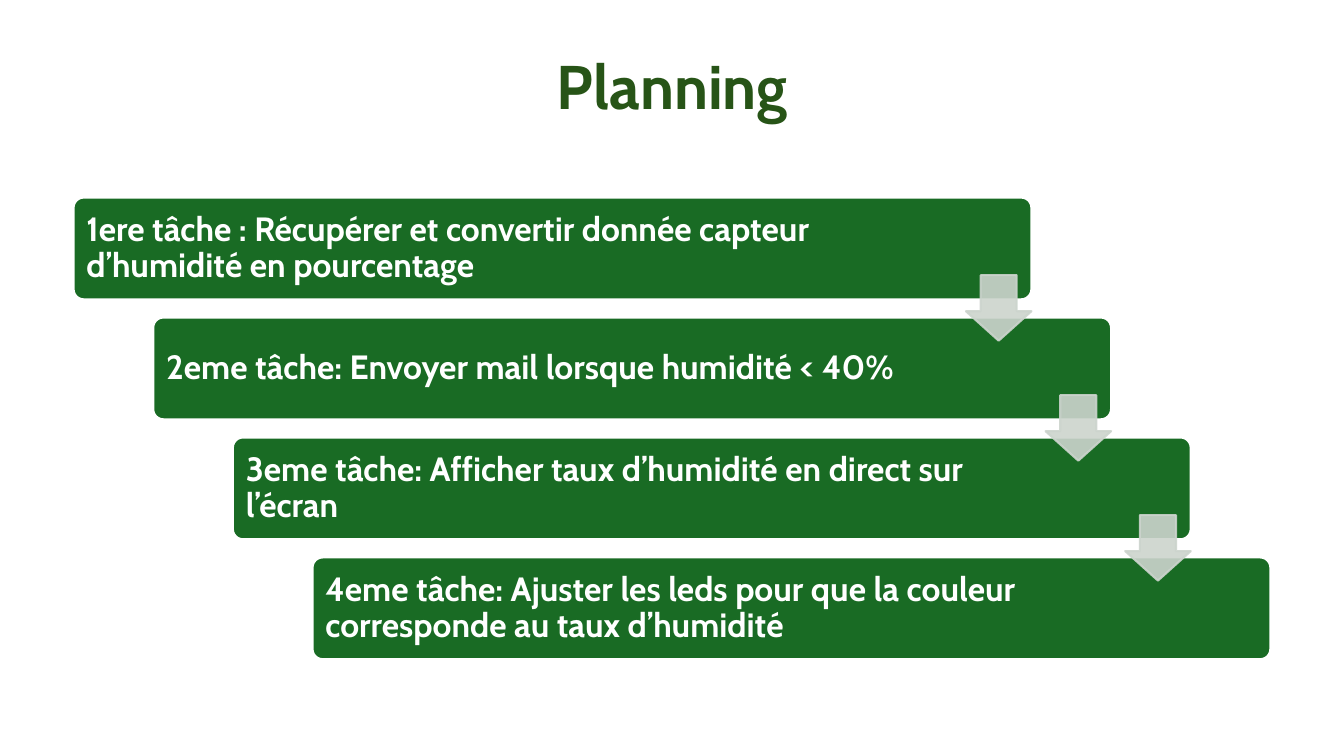
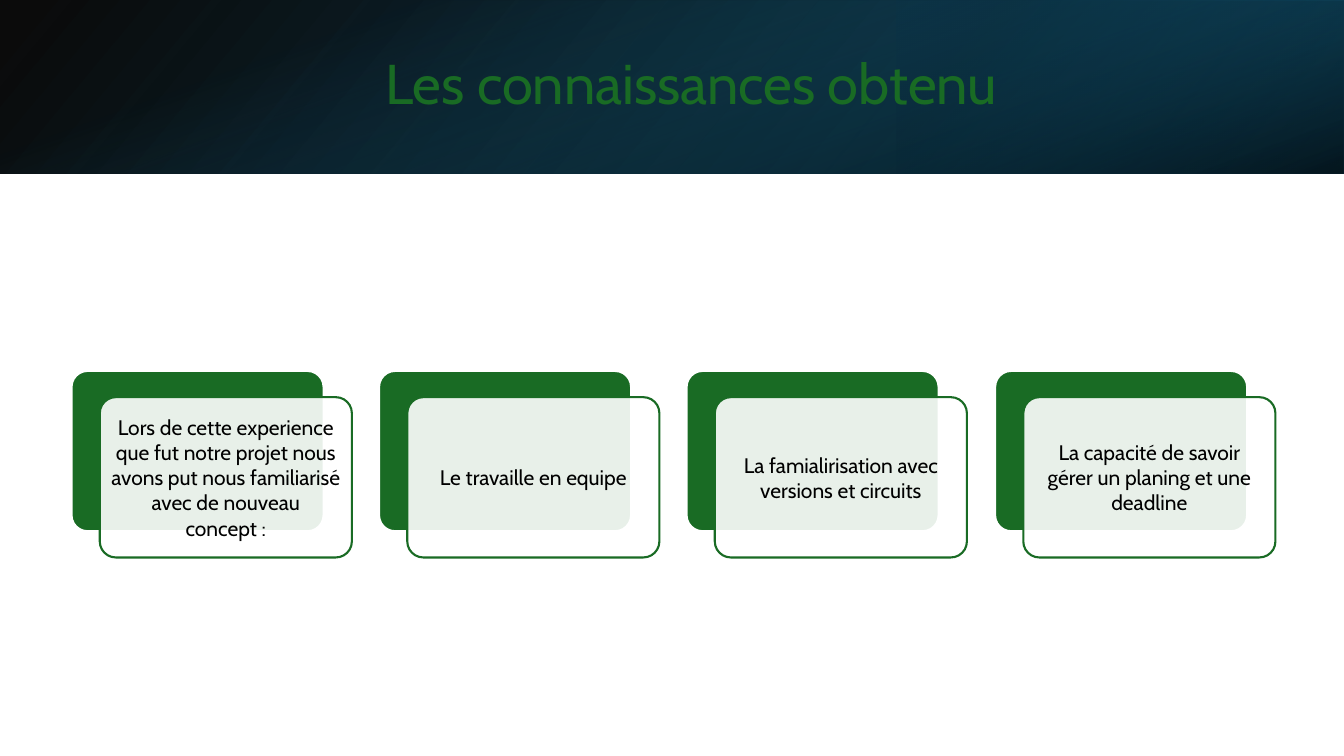
from lxml import etree
from pptx import Presentation
from pptx.dml.color import RGBColor
from pptx.enum.shapes import MSO_SHAPE
from pptx.enum.text import MSO_ANCHOR, MSO_AUTO_SIZE, PP_ALIGN
from pptx.oxml import parse_xml
from pptx.oxml.ns import nsdecls, qn
from pptx.util import Pt

PX = 9144
SLIDE_W, SLIDE_H = 1333, 750
BAND_H = 172
TITLE_ONLY = 5
FONT = "Cabin"
GREEN, DARK_GREEN, PALE_GREEN = "196B24", "275417", "CCD4CD"
WHITE, BLACK = "FFFFFF", "000000"

RECT = MSO_SHAPE.RECTANGLE
ROUNDED = MSO_SHAPE.ROUNDED_RECTANGLE
DOWN_ARROW = MSO_SHAPE.DOWN_ARROW
TOP, MIDDLE = MSO_ANCHOR.TOP, MSO_ANCHOR.MIDDLE
LEFT, CENTER = PP_ALIGN.LEFT, PP_ALIGN.CENTER
NO_AUTOFIT = MSO_AUTO_SIZE.NONE

TASKS = [
    "1ere tâche : Récupérer et convertir donnée capteur d’humidité en pourcentage",
    "2eme tâche: Envoyer mail lorsque humidité < 40%",
    "3eme tâche: Afficher taux d’humidité en direct sur l’écran",
    "4eme tâche: Ajuster les leds pour que la couleur corresponde au taux d’humidité",
]
SKILLS = [
    "Lors de cette experience que fut notre projet nous avons put nous familiarisé "
    "avec de nouveau concept :",
    "Le travaille en equipe",
    "La famialirisation avec versions et circuits",
    "La capacité de savoir gérer un planing et une deadline",
]


def px(*lengths):
    return [length * PX for length in lengths]


def rgb(color):
    return RGBColor.from_string(color)


def set_opacity(shape, percent):
    for color in shape._element.spPr.iter(qn("a:srgbClr")):
        etree.SubElement(color, qn("a:alpha")).set("val", str(percent * 1000))


def add_block(slide, kind, box, fill, line=None, adjustments=()):
    block = slide.shapes.add_shape(kind, *px(*box))
    block.shadow.inherit = False
    for index, value in enumerate(adjustments):
        block.adjustments[index] = value
    if fill:
        block.fill.solid()
        block.fill.fore_color.rgb = rgb(fill)
    else:
        block.fill.background()
    if line:
        block.line.color.rgb = rgb(line)
        block.line.width = Pt(1.5)
    else:
        block.line.fill.background()
    return block


def write(shape, text, size, color, align, anchor=MIDDLE, bold=False,
          spacing=1.0, insets=(10, 5, 10, 5)):
    frame = shape.text_frame
    frame.word_wrap = True
    frame.auto_size = NO_AUTOFIT
    frame.vertical_anchor = anchor
    (frame.margin_left, frame.margin_top,
     frame.margin_right, frame.margin_bottom) = px(*insets)
    frame.text = text
    paragraph = frame.paragraphs[0]
    paragraph.alignment = align
    paragraph.line_spacing = spacing
    paragraph.font.name = FONT
    paragraph.font.size = Pt(size)
    paragraph.font.bold = bold
    paragraph.font.color.rgb = rgb(color)


def add_titled_slide(deck, text, box, size, color, align, **style):
    slide = deck.slides.add_slide(deck.slide_layouts[TITLE_ONLY])
    title = slide.shapes.title
    title.left, title.top, title.width, title.height = px(*box)
    write(title, text, size, color, align, **style)
    return slide


def add_gradient(slide, box, stops, angle, rotation=0, flipped=False):
    layer = add_block(slide, RECT, box, None)
    layer.rotation = rotation
    properties = layer._element.spPr
    if flipped:
        properties.find(qn("a:xfrm")).set("flipH", "1")
    stop_xml = "".join(
        f'<a:gs pos="{position * 1000}"><a:srgbClr val="{color}">'
        f'<a:alpha val="{opacity * 1000}"/></a:srgbClr></a:gs>'
        for position, color, opacity in stops)
    gradient = parse_xml(
        f'<a:gradFill {nsdecls("a")} rotWithShape="1"><a:gsLst>{stop_xml}</a:gsLst>'
        f'<a:lin ang="{angle * 60000}" scaled="0"/></a:gradFill>')
    properties.replace(properties.find(qn("a:noFill")), gradient)
    return layer


def add_header_band(slide):
    third = SLIDE_W // 3
    offset = (SLIDE_W - BAND_H) // 2
    layers = [
        add_gradient(slide, (0, 0, SLIDE_W, BAND_H),
                     [(0, BLACK, 96), (100, "104862", 100)], 140, flipped=True),
        add_gradient(slide, (SLIDE_W - third, 0, third, BAND_H),
                     [(19, "0B3041", 68), (100, "156082", 79)], 320, 180, True),
        add_gradient(slide, (offset, -offset, BAND_H, SLIDE_W),
                     [(23, "156082", 0), (99, BLACK, 74)], 340, 90),
    ]
    for layer in layers:
        slide.shapes.title._element.addprevious(layer._element)


def add_task(slide, left, top, text):
    task = add_block(slide, ROUNDED, (left, top, 950, 101), GREEN, WHITE, [0.1])
    write(task, text, 24, WHITE, LEFT, bold=True, spacing=0.9,
          insets=(10, 10, 155, 10))


def add_step_arrow(slide, left, top):
    arrow = add_block(slide, DOWN_ARROW, (left, top, 65, 65),
                      PALE_GREEN, PALE_GREEN, [0.55, 0.45])
    set_opacity(arrow, 90)


def add_skill_card(slide, left, top, text):
    width, height = 250, 159
    add_block(slide, ROUNDED, (left, top, width, height), GREEN, WHITE, [0.1])
    card = add_block(slide, ROUNDED, (left + 28, top + 26, width, height), WHITE,
                     adjustments=[0.1])
    set_opacity(card, 90)
    card.line.color.rgb = rgb(GREEN)
    card.line.width = Pt(1.5)
    write(card, text, 15, BLACK, CENTER, insets=(6, 6, 6, 6))


def build_planning(deck):
    slide = add_titled_slide(deck, "Planning", (437, 43, 460, 84), 44,
                             DARK_GREEN, CENTER, anchor=TOP, bold=True)
    corners = [(73 + 79 * step, 196 + 119 * step) for step in range(len(TASKS))]
    for (left, top), text in zip(corners, TASKS):
        add_task(slide, left, top, text)
    for left, top in corners[:-1]:
        add_step_arrow(slide, left + 885, top + 77)


def build_skills(deck):
    slide = add_titled_slide(deck, "Les connaissances obtenu", (372, 38, 876, 96),
                             40, GREEN, LEFT, spacing=0.9)
    add_header_band(slide)
    for column, text in enumerate(SKILLS):
        add_skill_card(slide, 71 + column * 916 // 3, 368, text)


def main():
    deck = Presentation()
    deck.slide_width, deck.slide_height = px(SLIDE_W, SLIDE_H)
    build_planning(deck)
    build_skills(deck)
    deck.save("out.pptx")


if __name__ == "__main__":
    main()
